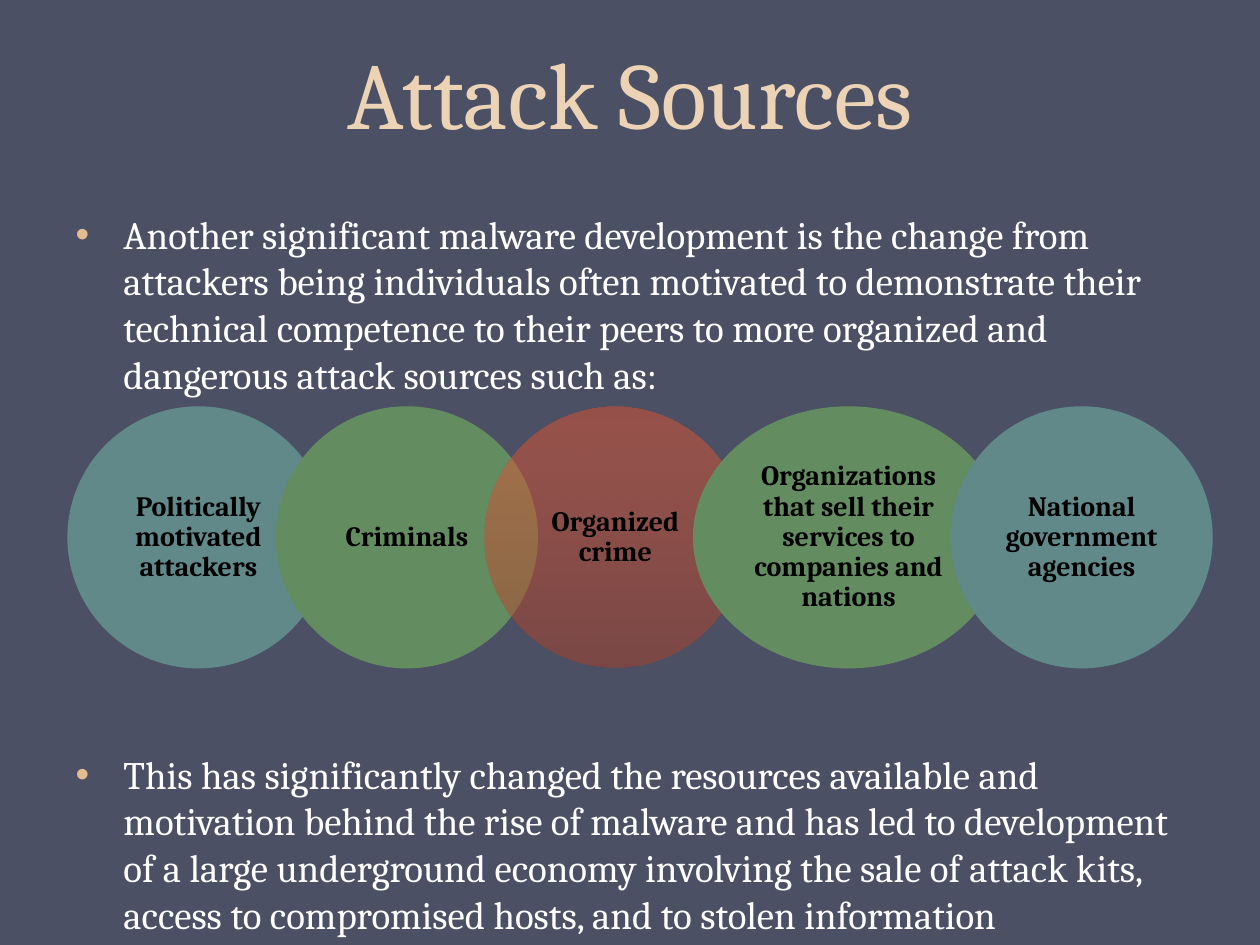
from lxml import etree
from pptx import Presentation
from pptx import util as u
from pptx.dml.color import RGBColor
from pptx.enum import shapes, text
from pptx.oxml import ns

COLORS = {"background": "4B5064", "title": "EDD3B6", "bullet": "E3BC92",
          "body": "FFFFFF", "label": "000000", "teal": "61898A", "green": "648C61"}
RED_STOPS = [(0, "AB4027"), (80, "DE5433"), (100, "E35230")]


def style(para, size, color, bold=False):
    for span in para.runs:
        span.font.name = "Cambria"
        span.font.size = u.Pt(size)
        span.font.bold = bold
        span.font.color.rgb = RGBColor.from_string(COLORS[color])


def add_node(parent, tag, **attributes):
    return etree.SubElement(parent, ns.qn(tag), **attributes)


deck = Presentation()
deck.slide_width, deck.slide_height = u.Inches(10), u.Inches(7.5)
page = deck.slides.add_slide(deck.slide_layouts[1])
page.background.fill.solid()
page.background.fill.fore_color.rgb = RGBColor.from_string(COLORS["background"])
margin = int(deck.slide_width * 0.05)
content_width = deck.slide_width - 2 * margin

# Title
title = page.shapes.title
title.left, title.top, title.width, title.height = margin, 0, content_width, u.Inches(1.23)
title.text_frame.text = "Attack Sources"
title.text_frame.auto_size = text.MSO_AUTO_SIZE.NONE
title.text_frame.vertical_anchor = text.MSO_ANCHOR.BOTTOM
para = title.text_frame.paragraphs[0]
para.alignment = text.PP_ALIGN.CENTER
para.line_spacing = u.Pt(58)
style(para, 54, "title")

# Bulleted text, with a gap for the row of circles
points = [
    ("Another significant malware development is the change from attackers being "
     "individuals often motivated to demonstrate their technical competence to their "
     "peers to more organized and dangerous attack sources such as:", 0),
    ("This has significantly changed the resources available and motivation behind the "
     "rise of malware and has led to development of a large underground economy "
     "involving the sale of attack kits, access to compromised hosts, and to stolen "
     "information", 202),
]
body = page.placeholders[1]
body.left, body.top, body.width, body.height = margin, u.Inches(1.62), content_width, u.Inches(5.67)
frame = body.text_frame
frame.text = "\n".join(wording for wording, gap in points)
frame.auto_size = text.MSO_AUTO_SIZE.NONE
for para, (wording, gap) in zip(frame.paragraphs, points):
    para.space_before = u.Pt(gap)
    props = para._p.get_or_add_pPr()
    props.set("marL", str(u.Inches(0.38)))
    props.set("indent", str(-u.Inches(0.38)))
    add_node(add_node(props, "a:buClr"), "a:srgbClr", val=COLORS["bullet"])
    add_node(props, "a:buFont", typeface="Arial")
    add_node(props, "a:buChar", char="•")
    style(para, 22.2, "body")

# Overlapping circles: label, fill, width
sources = [
    ("Politically motivated attackers", "teal", 2.07),
    ("Criminals", "green", 2.07),
    ("Organized crime", "red", 2.07),
    ("Organizations that sell their services to companies and nations", "green", 2.46),
    ("National government agencies", "teal", 2.07),
]
overlap = 0.415
left = 0.54
for label, color, width in sources:
    circle = page.shapes.add_shape(shapes.MSO_SHAPE.OVAL, u.Inches(left), u.Inches(3.23),
                                   u.Inches(width), u.Inches(2.07))
    left += width - overlap
    circle.shadow.inherit = False
    if color == "red":
        # Translucent gradient, darkest at the bottom
        circle.fill.gradient()
        circle.fill.gradient_angle = 90
        stop_list = circle._element.spPr.find(".//" + ns.qn("a:gsLst"))
        for stop in list(stop_list):
            stop_list.remove(stop)
        for position, shade in RED_STOPS:
            stop = add_node(stop_list, "a:gs", pos=str(position * 1000))
            add_node(add_node(stop, "a:srgbClr", val=shade), "a:alpha", val="50000")
        circle.line.fill.background()
    else:
        circle.fill.solid()
        circle.fill.fore_color.rgb = RGBColor.from_string(COLORS[color])
        circle.line.color.rgb = RGBColor.from_string(COLORS[color])
        circle.line.width = u.Pt(0.75)
    frame = circle.text_frame
    frame.text = label
    frame.word_wrap = True
    frame.vertical_anchor = text.MSO_ANCHOR.MIDDLE
    frame.margin_left = frame.margin_right = u.Inches(0.11)
    frame.margin_top = frame.margin_bottom = u.Inches(0.02)
    para = frame.paragraphs[0]
    para.alignment = text.PP_ALIGN.CENTER
    para.line_spacing = 0.9
    style(para, 16, "label", bold=True)

deck.save("out.pptx")
